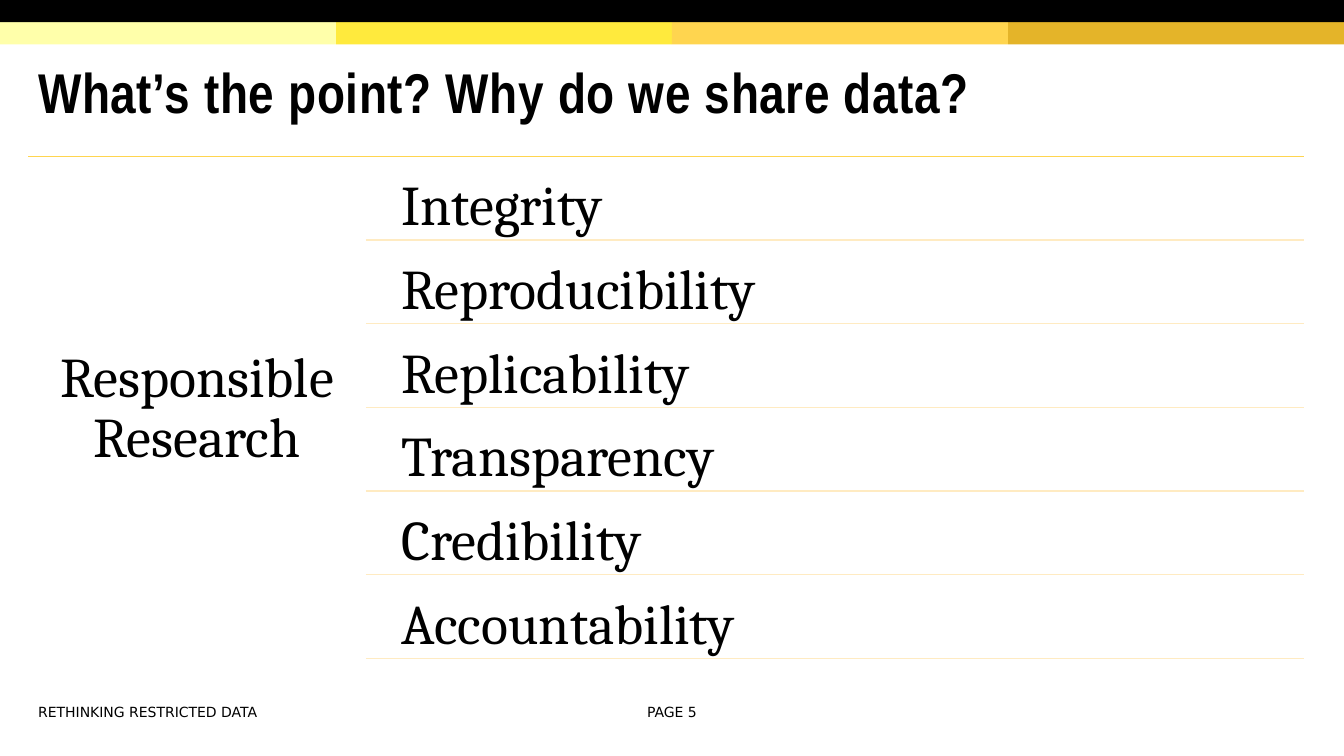
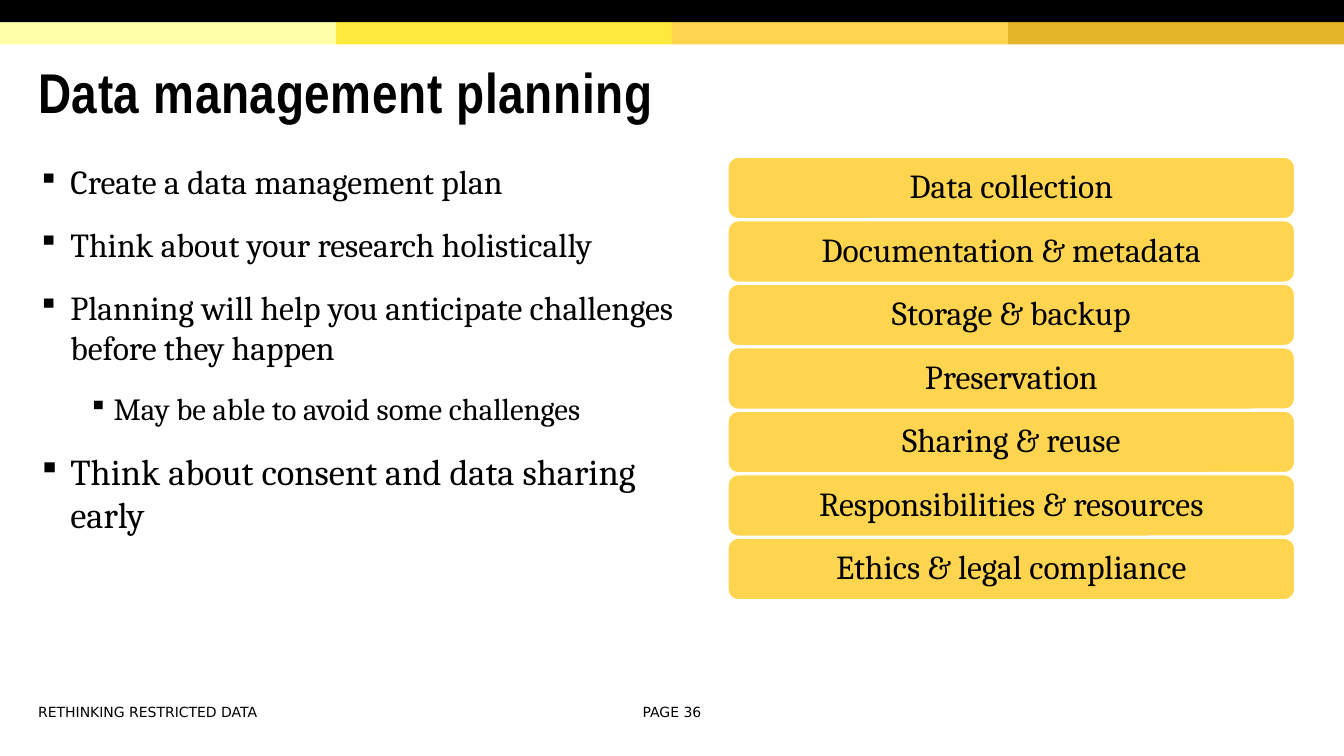
"""Build two slides on sharing research data and planning its management."""
from dataclasses import dataclass

from lxml import etree
from pptx import Presentation
from pptx.dml.color import RGBColor
from pptx.enum.shapes import MSO_CONNECTOR, MSO_SHAPE
from pptx.enum.text import MSO_ANCHOR, PP_ALIGN
from pptx.oxml.ns import qn
from pptx.util import Inches, Pt

RECTANGLE = MSO_SHAPE.RECTANGLE
ROUNDED = MSO_SHAPE.ROUNDED_RECTANGLE
STRAIGHT = MSO_CONNECTOR.STRAIGHT
TOP, MIDDLE = MSO_ANCHOR.TOP, MSO_ANCHOR.MIDDLE
LEFT, CENTER = PP_ALIGN.LEFT, PP_ALIGN.CENTER


@dataclass(frozen=True)
class Theme:
    black: str = "000000"
    white: str = "FFFFFF"
    gold: str = "FFD54F"
    pale_gold: str = "FFEBC2"
    bands: tuple = ("FFFFAA", "FFEA3D", "FFD54F", "E4B429")
    title_font: str = "Arial Narrow"
    body_font: str = "Cambria"
    footer_font: str = "DejaVu Sans"
    title_size: int = 40
    display_size: int = 40
    body_size: int = 24
    sub_size: int = 22
    emphasis_size: int = 26
    footer_size: int = 10


THEME = Theme()
SLIDE_WIDTH, SLIDE_HEIGHT = 13.33, 7.5
MARGIN = 0.28
CONTENT_RIGHT = 12.93
CONTENT_TOP = 1.55
BAND_HEIGHT = 0.22
LINE_SPACING = 0.9

FOOTER = "RETHINKING RESTRICTED DATA"
SHARING = {
    "title": "What’s the point? Why do we share data?",
    "page": 5,
    "heading": "Responsible Research",
    "reasons": ["Integrity", "Reproducibility", "Replicability",
                "Transparency", "Credibility", "Accountability"],
}
PLANNING = {
    "title": "Data management planning",
    "page": 36,
    "bullets": [
        ("Create a data management plan", 0, THEME.body_size),
        ("Think about your research holistically", 0, THEME.body_size),
        ("Planning will help you anticipate challenges before they happen",
         0, THEME.body_size),
        ("May be able to avoid some challenges", 1, THEME.sub_size),
        ("Think about consent and data sharing early",
         0, THEME.emphasis_size),
    ],
    "topics": ["Data collection", "Documentation & metadata",
               "Storage & backup", "Preservation", "Sharing & reuse",
               "Responsibilities & resources", "Ethics & legal compliance"],
}
BULLET_INDENTS = [(0.32, -0.32), (0.75, -0.25)]


def color(value):
    return RGBColor.from_string(value)


def set_frame(shape, anchor, inset=None):
    frame = shape.text_frame
    frame.word_wrap = True
    frame.vertical_anchor = anchor
    sideways, upright = (0.1, 0.05) if inset is None else (inset, inset)
    frame.margin_left = frame.margin_right = Inches(sideways)
    frame.margin_top = frame.margin_bottom = Inches(upright)
    return frame


def add_run(paragraph, text, font_name, size, bold=False):
    run = paragraph.add_run()
    run.text = text
    run.font.name = font_name
    run.font.size = Pt(size)
    run.font.bold = bold
    run.font.color.rgb = color(THEME.black)
    return run


def add_box(slide, left, top, width, height):
    return slide.shapes.add_textbox(
        Inches(left), Inches(top), Inches(width), Inches(height))


def write_line(shape, text, font_name, size, anchor=MIDDLE, align=LEFT,
               inset=None, spacing=None, bold=False):
    paragraph = set_frame(shape, anchor, inset).paragraphs[0]
    paragraph.alignment = align
    paragraph.line_spacing = spacing
    return add_run(paragraph, text, font_name, size, bold)


def add_block(slide, preset, left, top, width, height, fill, line=None):
    shape = slide.shapes.add_shape(
        preset, Inches(left), Inches(top), Inches(width), Inches(height))
    shape.shadow.inherit = False
    shape.fill.solid()
    shape.fill.fore_color.rgb = color(fill)
    if line:
        shape.line.color.rgb = color(line)
        shape.line.width = Pt(1)
    else:
        shape.line.fill.background()
    return shape


def add_rule(slide, left, top, right, line):
    rule = slide.shapes.add_connector(
        STRAIGHT, Inches(left), Inches(top), Inches(right), Inches(top))
    rule.line.color.rgb = color(line)
    rule.line.width = Pt(1)
    etree.SubElement(rule._element.spPr, qn("a:effectLst"))


def add_bullet(paragraph, level):
    left, hanging = BULLET_INDENTS[level]
    properties = paragraph._p.get_or_add_pPr()
    properties.set("marL", str(Inches(left)))
    properties.set("indent", str(Inches(hanging)))
    bullet_color = etree.SubElement(properties, qn("a:buClr"))
    etree.SubElement(bullet_color, qn("a:srgbClr"), val=THEME.black)
    etree.SubElement(properties, qn("a:buSzPct"), val="85000")
    etree.SubElement(properties, qn("a:buChar"), char="▪")


def start_slide(presentation, content):
    slide = presentation.slides.add_slide(presentation.slide_layouts[6])
    band_width = SLIDE_WIDTH / len(THEME.bands)
    for index, fill in enumerate(THEME.bands):
        add_block(slide, RECTANGLE, index * band_width, BAND_HEIGHT,
                  band_width, BAND_HEIGHT, fill)
    add_block(slide, RECTANGLE, 0, 0, SLIDE_WIDTH, BAND_HEIGHT, THEME.black)
    title = write_line(
        add_box(slide, MARGIN, 0.47, CONTENT_RIGHT - MARGIN, 0.98),
        content["title"], THEME.title_font, THEME.title_size,
        spacing=0.85, bold=True)
    title.font._element.set("spc", "50")
    footers = [(MARGIN, 5.72, LEFT, FOOTER),
               (6.11, 1.11, CENTER, f"PAGE {content['page']}")]
    for left, width, align, text in footers:
        write_line(add_box(slide, left, 6.93, width, 0.27), text,
                   THEME.footer_font, THEME.footer_size, align=align)
    return slide


def build_sharing(presentation):
    slide = start_slide(presentation, SHARING)
    heading_width, row_height, gap = 3.35, 0.83, 0.04
    rule_left = MARGIN + heading_width
    reason_left = 3.81
    style = {"font_name": THEME.body_font, "size": THEME.display_size,
             "inset": 0.17, "spacing": LINE_SPACING}
    add_rule(slide, MARGIN, CONTENT_TOP, CONTENT_RIGHT, THEME.gold)
    write_line(add_box(slide, MARGIN, CONTENT_TOP, heading_width, 5.02),
               SHARING["heading"], align=CENTER, **style)
    for index, reason in enumerate(SHARING["reasons"]):
        top = CONTENT_TOP + index * row_height
        box = add_box(slide, reason_left, top + gap,
                      CONTENT_RIGHT - reason_left, row_height - gap)
        write_line(box, reason, anchor=TOP, **style)
        add_rule(slide, rule_left, top + row_height, CONTENT_RIGHT,
                 THEME.pale_gold)


def build_planning(presentation):
    slide = start_slide(presentation, PLANNING)
    frame = set_frame(add_box(slide, MARGIN, CONTENT_TOP, 6.9, 5.03), TOP)
    for index, (text, level, size) in enumerate(PLANNING["bullets"]):
        paragraph = frame.add_paragraph() if index else frame.paragraphs[0]
        paragraph.level = level
        add_bullet(paragraph, level)
        if index:
            paragraph.space_before = Pt(8)
        paragraph.space_after = Pt(8)
        add_run(paragraph, text, THEME.body_font, size)
    topic_top, topic_height, pitch = 1.56, 0.61, 0.63
    for index, topic in enumerate(PLANNING["topics"]):
        button = add_block(slide, ROUNDED, 7.22, topic_top + index * pitch,
                           5.62, topic_height, THEME.gold, THEME.white)
        write_line(button, topic, THEME.body_font, THEME.body_size,
                   align=CENTER, inset=0.1, spacing=LINE_SPACING)


def main():
    presentation = Presentation()
    presentation.slide_width = Inches(SLIDE_WIDTH)
    presentation.slide_height = Inches(SLIDE_HEIGHT)
    build_sharing(presentation)
    build_planning(presentation)
    presentation.save("out.pptx")


if __name__ == "__main__":
    main()
